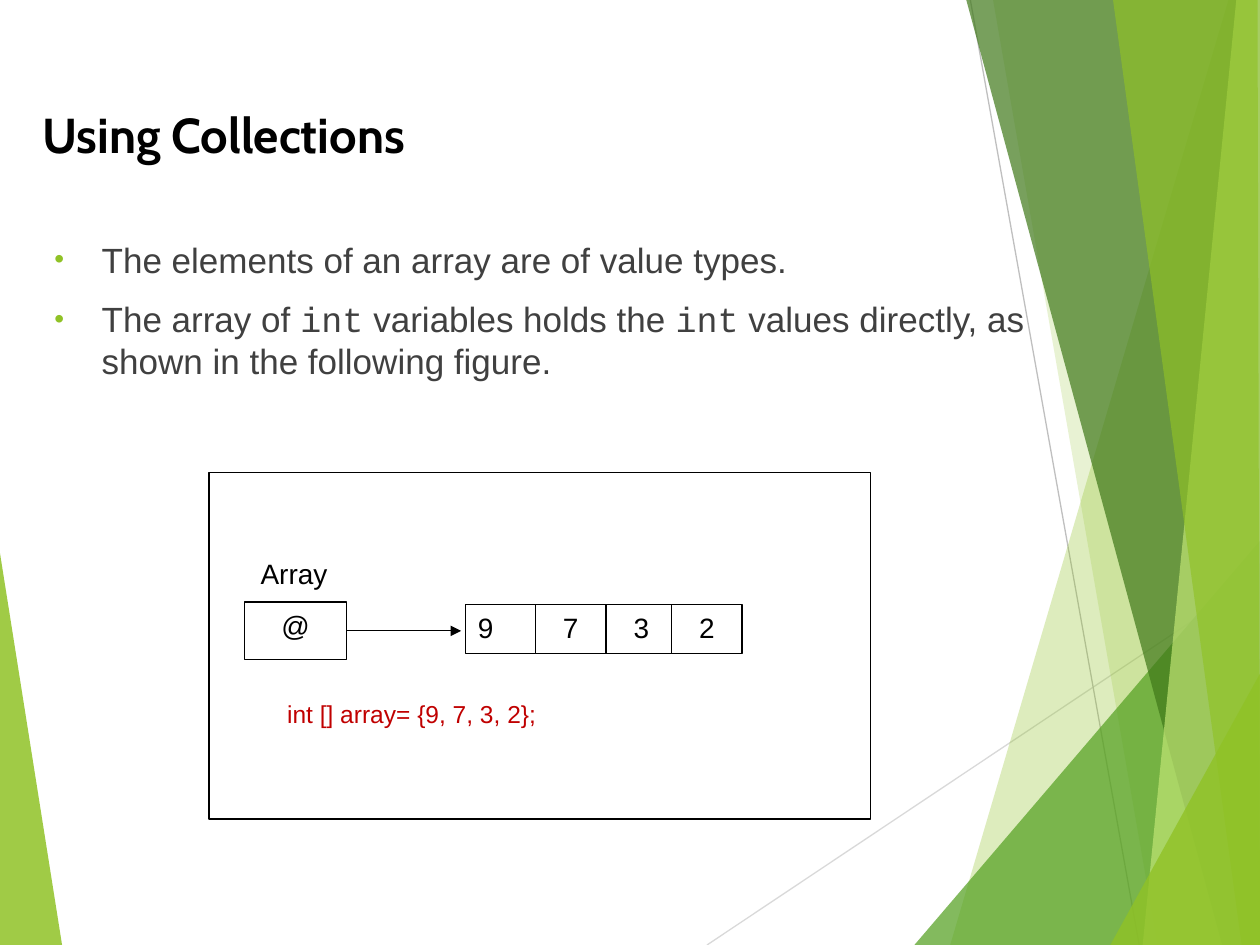
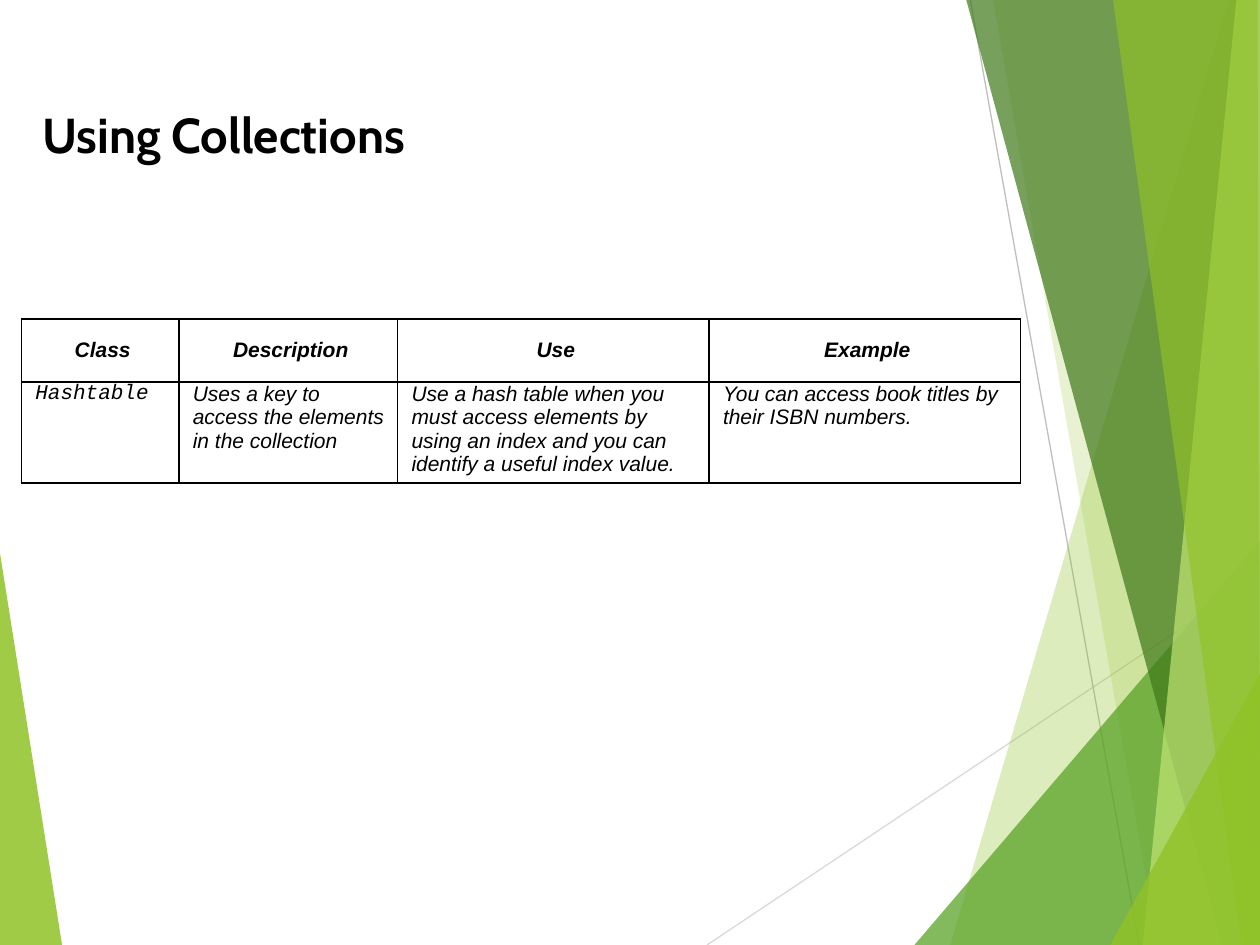
from lxml import etree
from pptx import Presentation, util as u
from pptx.dml.color import RGBColor
from pptx.enum import shapes, text
from pptx.oxml.ns import qn

COLOURS = {
    "white": "FFFFFF", "black": "000000", "body": "404040", "code": "C00000",
    "lime": "90C226", "green": "54A021", "forest": "3F7819", "pale": "C0E474",
    "light_grey": "D9D9D9", "grey": "BFBFBF",
}
SANS, MONO, HEADING = "Arial", "Courier New", "Cabin"
WIDTH, HEIGHT = 720, 540
TITLE = "Using Collections"

# Facets behind every slide: colour, opacity in percent, corner points
LEFT_FACET = ("lime", 85, [(0, 316), (35.5, HEIGHT), (0, HEIGHT)])
RIGHT_FACETS = [
    ("lime", 30, [(702, 0), (543, HEIGHT), (WIDTH, HEIGHT), (WIDTH, 0)]),
    ("lime", 20, [(567.5, 0), (661.5, HEIGHT), (WIDTH, HEIGHT), (WIDTH, 0)]),
    ("green", 72, [(522.5, HEIGHT), (WIDTH, 309), (WIDTH, HEIGHT)]),
    ("forest", 70, [(552.2, 0), (698.4, HEIGHT), (WIDTH, HEIGHT), (WIDTH, 0)]),
    ("pale", 70, [(706.5, 0), (653, HEIGHT), (WIDTH, HEIGHT), (WIDTH, 0)]),
    ("lime", 65, [(636, 0), (709.5, HEIGHT), (WIDTH, HEIGHT), (718.6, 0)]),
    ("lime", 80, [(634.5, HEIGHT), (WIDTH, 385), (WIDTH, HEIGHT)]),
]

BULLETS = [
    [("The elements of an array are of value types.", SANS)],
    [("The array of ", SANS), ("int", MONO), (" variables holds the ", SANS),
     ("int", MONO), (" values directly, as shown in the following figure.", SANS)],
]

COLUMN_WIDTHS = [90, 125, 178, 178]
ROW_HEIGHTS = [36, 57.6]
CLASS_TABLE = [
    ["Class", "Description", "Use", "Example"],
    ["Hashtable",
     "Uses a key to access the elements in the collection",
     "Use a hash table when you must access elements by using an index "
     "and you can identify a useful index value.",
     "You can access book titles by their ISBN numbers."],
]


def rgb(name):
    return RGBColor.from_string(COLOURS[name])


def points(*values):
    return [u.Pt(value) for value in values]


def add_run(paragraph, words, size, font=SANS, colour="black", bold=False, italic=False):
    run = paragraph.add_run()
    run.text = words
    run.font.size = u.Pt(size)
    run.font.name = font
    run.font.bold = bold
    run.font.italic = italic
    run.font.color.rgb = rgb(colour)


def add_facet(slide, colour, opacity, corners):
    start, *others = [points(*corner) for corner in corners]
    builder = slide.shapes.build_freeform(*start)
    builder.add_line_segments(others, close=True)
    shape = builder.convert_to_shape()
    shape.shadow.inherit = False
    shape.fill.solid()
    shape.fill.fore_color.rgb = rgb(colour)
    shape.line.fill.background()
    fill_colour = shape._element.spPr.find(".//" + qn("a:srgbClr"))
    etree.SubElement(fill_colour, qn("a:alpha"), val=str(opacity * 1000))


def add_line(slide, start, end, colour, arrow=False):
    line = slide.shapes.add_connector(
        shapes.MSO_CONNECTOR.STRAIGHT, *points(*start, *end))
    line.line.width = u.Pt(0.75)
    line.line.color.rgb = rgb(colour)
    if arrow:
        etree.SubElement(line.line._get_or_add_ln(), qn("a:tailEnd"), type="triangle")
    etree.SubElement(line._element.spPr, qn("a:effectLst"))
    return line


def add_text_box(slide, left, top, width, height):
    frame = slide.shapes.add_textbox(*points(left, top, width, height)).text_frame
    frame.word_wrap = True
    return frame


def add_bullets(slide, bullets):
    frame = add_text_box(slide, 24, 132.5, 576, 360)
    for index, runs in enumerate(bullets):
        paragraph = frame.paragraphs[0] if index == 0 else frame.add_paragraph()
        if index:
            paragraph.space_before = u.Pt(10)
        properties = paragraph._p.get_or_add_pPr()
        properties.set("marL", str(u.Pt(27)))
        properties.set("indent", str(-u.Pt(27)))
        bullet_colour = etree.SubElement(properties, qn("a:buClr"))
        etree.SubElement(bullet_colour, qn("a:srgbClr"), val=COLOURS["lime"])
        etree.SubElement(properties, qn("a:buSzPct"), val="80000")
        etree.SubElement(properties, qn("a:buFont"), typeface=SANS)
        etree.SubElement(properties, qn("a:buChar"), char="•")
        for words, font in runs:
            add_run(paragraph, words, 20, font, "body")


def add_box(slide, left, top, width, height, words="", size=16, colour="black",
            outlined=True, align=text.PP_ALIGN.CENTER):
    shape = slide.shapes.add_shape(
        shapes.MSO_SHAPE.RECTANGLE, *points(left, top, width, height))
    shape.shadow.inherit = False
    shape.fill.solid()
    shape.fill.fore_color.rgb = rgb("white")
    if outlined:
        shape.line.color.rgb = rgb("black")
        shape.line.width = u.Pt(0.75)
    else:
        shape.line.fill.background()
    if words:
        shape.text_frame.vertical_anchor = text.MSO_ANCHOR.TOP
        paragraph = shape.text_frame.paragraphs[0]
        paragraph.alignment = align
        add_run(paragraph, words, size, colour=colour)
    return shape


def add_array_diagram(slide):
    left_align = text.PP_ALIGN.LEFT
    add_box(slide, 119.5, 270, 378, 198)
    # Array elements
    for value, left in zip("9732", (266, 306, 346.3, 383.8)):
        align = left_align if value == "9" else text.PP_ALIGN.CENTER
        add_box(slide, left, 345.5, 40.3, 28, value, align=align)
    # Reference to the elements
    add_box(slide, 126, 314.6, 84, 28, "Array", outlined=False)
    reference = add_box(slide, 139.7, 344, 58.3, 33, "@")
    arrow = add_line(slide, (198, 360.5), (263.5, 360.5), "black", arrow=True)
    arrow.begin_connect(reference, 3)
    # Declaration
    add_box(slide, 157, 396, 193, 24.5, "int [] array= {9, 7, 3, 2};",
            size=14, colour="code", outlined=False, align=left_align)


def style_cell(cell):
    cell.margin_left = cell.margin_right = u.Pt(5)
    cell.margin_top = cell.margin_bottom = 0
    properties = cell._tc.get_or_add_tcPr()
    for side in ("lnL", "lnR", "lnT", "lnB"):
        border = etree.SubElement(properties, qn("a:" + side), w=str(u.Pt(1)))
        fill = etree.SubElement(border, qn("a:solidFill"))
        etree.SubElement(fill, qn("a:srgbClr"), val=COLOURS["black"])
    cell.fill.background()


def add_class_table(slide, rows):
    table = slide.shapes.add_table(
        len(rows), len(rows[0]),
        *points(12.2, 182.3, sum(COLUMN_WIDTHS), sum(ROW_HEIGHTS))).table
    table.first_row = table.horz_banding = False
    for column, width in zip(table.columns, COLUMN_WIDTHS):
        column.width = u.Pt(width)
    for row_index, row in enumerate(rows):
        header = row_index == 0
        table.rows[row_index].height = u.Pt(ROW_HEIGHTS[row_index])
        for column_index, words in enumerate(row):
            cell = table.cell(row_index, column_index)
            style_cell(cell)
            paragraph = cell.text_frame.paragraphs[0]
            paragraph._p.get_or_add_pPr().set("marL", str(u.Pt(3)))
            if header:
                cell.vertical_anchor = text.MSO_ANCHOR.MIDDLE
                paragraph.alignment = text.PP_ALIGN.CENTER
            font = MONO if column_index == 0 and not header else SANS
            add_run(paragraph, words, 12, font, bold=header, italic=True)


def add_slide(presentation, title):
    slide = presentation.slides.add_slide(presentation.slide_layouts[6])
    # Background facets and hairlines
    add_facet(slide, *LEFT_FACET)
    add_line(slide, (404, HEIGHT), (WIDTH, 329), "light_grey")
    add_line(slide, (554.5, 0), (651, HEIGHT), "grey")
    for facet in RIGHT_FACETS:
        add_facet(slide, *facet)
    # Title
    frame = add_text_box(slide, 17, 56.2, 685, 41)
    add_run(frame.paragraphs[0], title, 28, HEADING, bold=True)
    return slide


def main():
    presentation = Presentation()
    presentation.slide_width, presentation.slide_height = points(WIDTH, HEIGHT)

    # Array of values
    slide = add_slide(presentation, TITLE)
    add_bullets(slide, BULLETS)
    add_array_diagram(slide)

    # Collection classes
    slide = add_slide(presentation, TITLE)
    add_class_table(slide, CLASS_TABLE)

    presentation.save("out.pptx")


if __name__ == "__main__":
    main()
